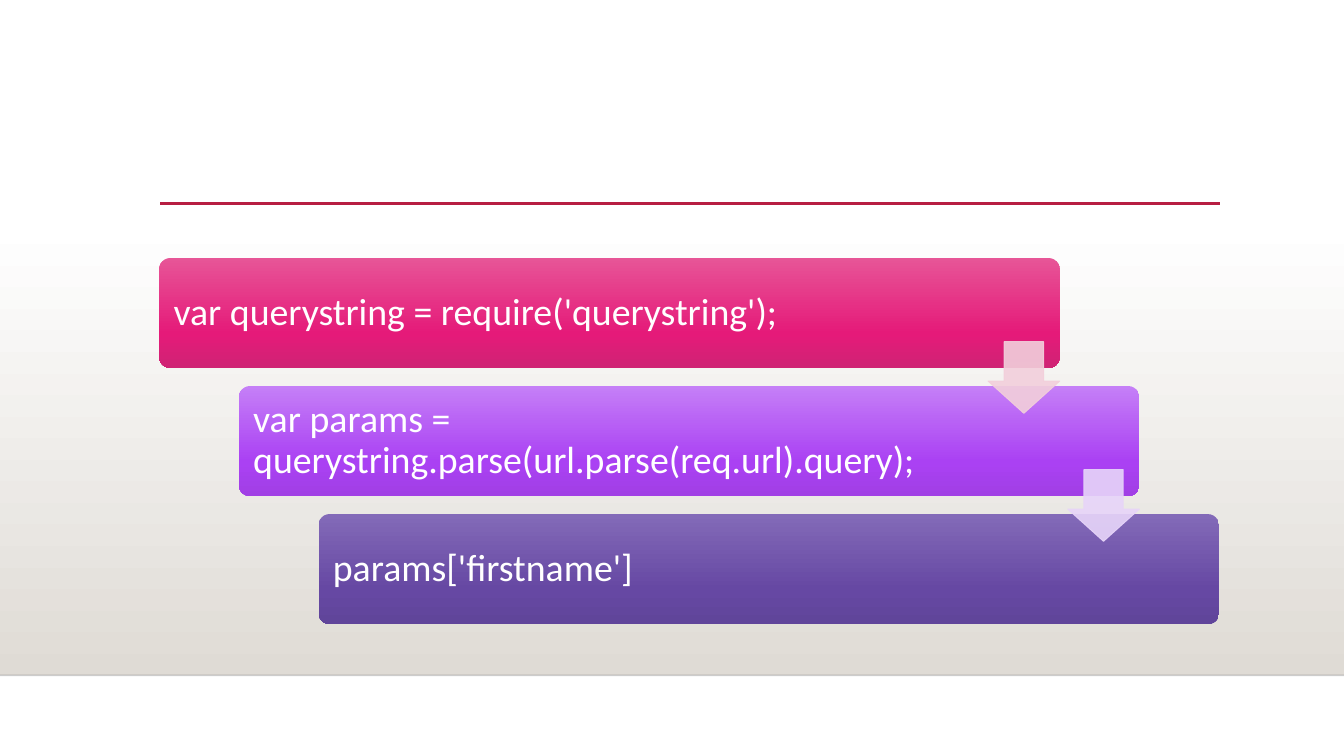
from dataclasses import dataclass

import pptx
import pptx.dml.color
import pptx.enum.shapes
import pptx.enum.text
import pptx.oxml.ns
import pptx.util
from lxml import etree

Inches = pptx.util.Inches
Pt = pptx.util.Pt
RGBColor = pptx.dml.color.RGBColor
qn = pptx.oxml.ns.qn
MSO_SHAPE = pptx.enum.shapes.MSO_SHAPE


@dataclass(frozen=True)
class Theme:
    font: str = "Calibri"
    code_size: float = 27
    code_color: str = "FFFFFF"
    floor: tuple = ((0, "FFFFFF"), (100, "DFDBD5"))
    floor_edge: str = "000001"
    title_rule: str = "B71E42"
    cards: tuple = (
        ((0, "E75597"), (69, "E51A79"), (100, "CF2374")),
        ((0, "C57FF7"), (69, "AA41F3"), (100, "A13FE5")),
        ((0, "836AB8"), (69, "6648A3"), (100, "60459A")),
    )
    arrows: tuple = ("F2CFDB", "E7D5F9")


THEME = Theme()
STEPS = (
    "var querystring = require('querystring');",
    "var params = querystring.parse(url.parse(req.url).query);",
    "params['firstname']",
)
CARD_LEFT, CARD_TOP = 1.58, 2.56
CARD_WIDTH, CARD_HEIGHT = 8.93, 1.09
STEP_RIGHT, STEP_DOWN = 0.79, 1.27
ARROW_SIZE, ARROW_DROP = 0.71, 0.83


def fill_downward(shape, stops):
    """Fill with a top-to-bottom gradient of (percent, colour) stops."""
    shape.fill.gradient()
    shape.fill.gradient_angle = 270
    stop_list = shape.element.spPr.find(".//" + qn("a:gsLst"))
    for old_stop in list(stop_list):
        stop_list.remove(old_stop)
    for percent, color in stops:
        stop = etree.SubElement(stop_list, qn("a:gs"), pos=str(percent * 1000))
        etree.SubElement(stop, qn("a:srgbClr"), val=color)


def set_opacity(shape, percent):
    """Apply one opacity to every solid colour of the shape."""
    for color in shape.element.spPr.iter(qn("a:srgbClr")):
        etree.SubElement(color, qn("a:alpha"), val=str(percent * 1000))


def add_block(slide, kind, left, top, width, height):
    block = slide.shapes.add_shape(
        kind, Inches(left), Inches(top), Inches(width), Inches(height)
    )
    block.shadow.inherit = False
    block.line.fill.background()
    return block


def add_rule(slide, left, right, y, color, weight):
    rule = slide.shapes.add_connector(
        pptx.enum.shapes.MSO_CONNECTOR.STRAIGHT,
        Inches(left), Inches(y), Inches(right), Inches(y),
    )
    rule.line.color.rgb = RGBColor.from_string(color)
    rule.line.width = Pt(weight)
    etree.SubElement(rule.element.spPr, qn("a:effectLst"))
    return rule


def add_code_card(slide, left, top, code, stops):
    card = add_block(slide, MSO_SHAPE.ROUNDED_RECTANGLE, left, top, CARD_WIDTH, CARD_HEIGHT)
    card.adjustments[0] = 0.1
    fill_downward(card, stops)
    frame_format = {
        "word_wrap": True,
        "vertical_anchor": pptx.enum.text.MSO_ANCHOR.MIDDLE,
        "margin_left": Inches(0.11),
        "margin_top": Inches(0.11),
        "margin_right": Inches(1.61),
        "margin_bottom": Inches(0.11),
    }
    for name, value in frame_format.items():
        setattr(card.text_frame, name, value)
    statement = card.text_frame.paragraphs[0]
    statement.text = code
    statement.alignment = pptx.enum.text.PP_ALIGN.LEFT
    statement.line_spacing = 0.9
    statement.font.name = THEME.font
    statement.font.size = Pt(THEME.code_size)
    statement.font.color.rgb = RGBColor.from_string(THEME.code_color)


def add_step_arrow(slide, left, top, color):
    arrow = add_block(slide, MSO_SHAPE.DOWN_ARROW, left, top, ARROW_SIZE, ARROW_SIZE)
    arrow.adjustments[0] = 0.55
    arrow.adjustments[1] = 0.45
    arrow.fill.solid()
    arrow.fill.fore_color.rgb = RGBColor.from_string(color)
    arrow.line.color.rgb = RGBColor.from_string(color)
    arrow.line.width = Pt(0.75)
    set_opacity(arrow, 90)


def add_backdrop(slide):
    floor = add_block(slide, MSO_SHAPE.RECTANGLE, 0, 2.21, 13.33, 4.49)
    fill_downward(floor, THEME.floor)
    floor_edge = add_rule(slide, 0, 13.33, 6.7, THEME.floor_edge, 1)
    set_opacity(floor_edge, 20)
    add_rule(slide, 1.59, 12.1, 2.02, THEME.title_rule, 2.5)


def main():
    deck = pptx.Presentation()
    deck.slide_width, deck.slide_height = Inches(13.33), Inches(7.5)
    slide = deck.slides.add_slide(deck.slide_layouts[6])
    add_backdrop(slide)
    corners = [
        (CARD_LEFT + i * STEP_RIGHT, CARD_TOP + i * STEP_DOWN) for i in range(len(STEPS))
    ]
    for (left, top), code, stops in zip(corners, STEPS, THEME.cards):
        add_code_card(slide, left, top, code, stops)
    for (left, top), color in zip(corners, THEME.arrows):
        add_step_arrow(slide, left + CARD_WIDTH - ARROW_SIZE, top + ARROW_DROP, color)
    deck.save("out.pptx")


if __name__ == "__main__":
    main()
